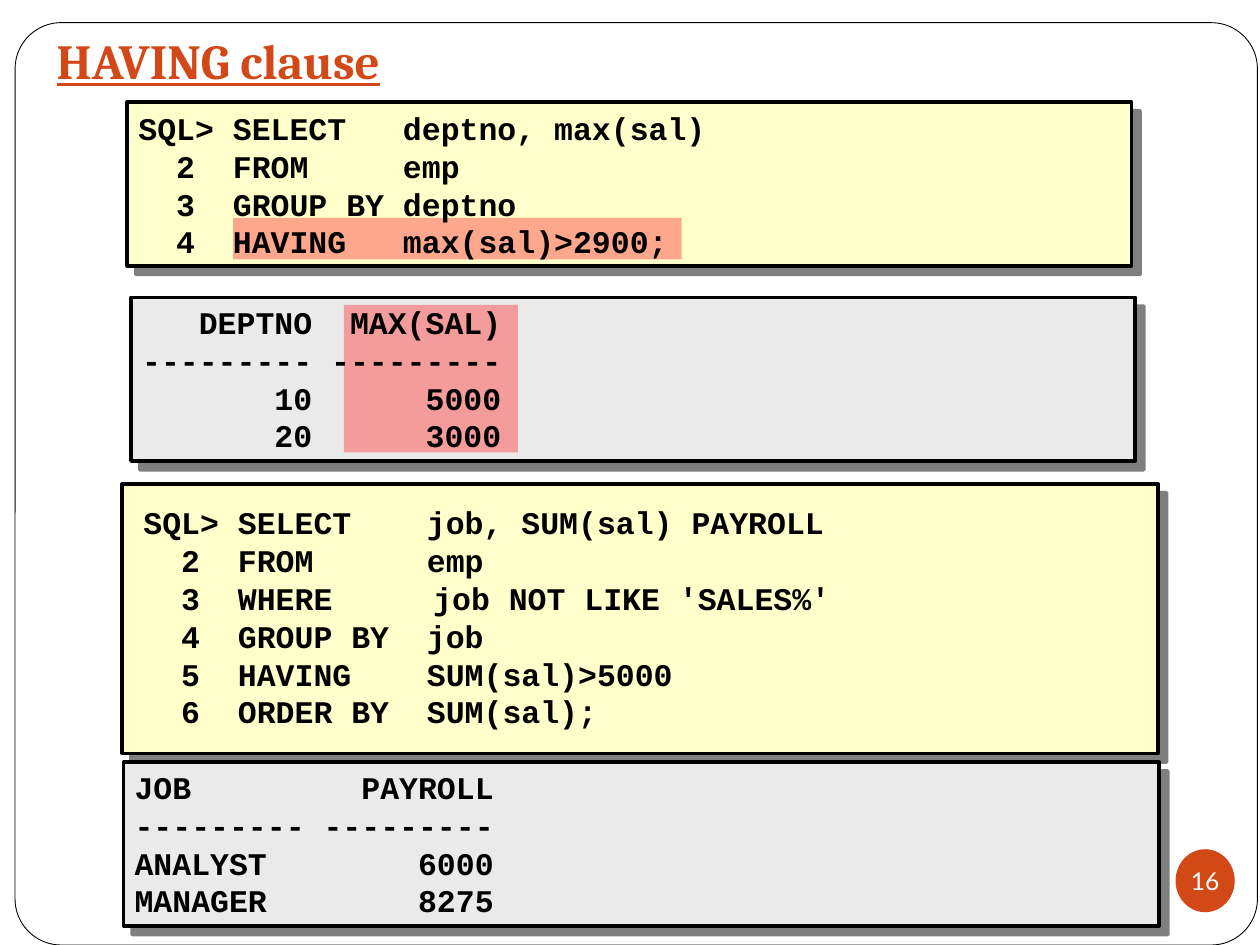
from lxml.etree import SubElement
from pptx import Presentation
from pptx.dml.color import RGBColor
from pptx.enum.shapes import MSO_SHAPE as Shape
from pptx.enum.text import MSO_ANCHOR as Anchor, MSO_AUTO_SIZE as AutoSize, PP_ALIGN as Align
from pptx.oxml.ns import qn
from pptx.util import Inches, Pt

COLORS = {"accent": "D34817", "code": "FFFFCC", "result": "EAEAEA",
          "highlight": "FF5050", "black": "000000", "white": "FFFFFF"}
TITLE = "HAVING clause"
PAGE_NUMBER = "16"
TEXT_SIZE = (8, 1.33)
PANELS = [
    {"fill": "code", "box": (1.01, 0.81, 7.97, 1.3), "text_at": (1, 0.8), "lines": [
        "SQL> SELECT   deptno, max(sal)",
        "  2  FROM     emp",
        "  3  GROUP BY deptno",
        "  4  HAVING   max(sal)>2900;"]},
    {"fill": "result", "box": (1.04, 2.36, 7.97, 1.3), "text_at": (1.03, 2.34), "lines": [
        "   DEPTNO  MAX(SAL)",
        "--------- ---------",
        "       10      5000",
        "       20      3000"]},
    {"fill": "code", "box": (0.97, 3.84, 8.22, 2.14), "text_at": (1.04, 4.23), "lines": [
        "SQL> SELECT    job, SUM(sal) PAYROLL",
        "  2  FROM      emp",
        "  3  WHERE\t  job NOT LIKE 'SALES%'",
        "  4  GROUP BY  job",
        "  5  HAVING    SUM(sal)>5000",
        "  6  ORDER BY  SUM(sal);"]},
    {"fill": "result", "box": (0.98, 6.05, 8.22, 1.3), "text_at": (0.97, 6.03), "lines": [
        "JOB         PAYROLL",
        "--------- ---------",
        "ANALYST        6000",
        "MANAGER        8275"]},
]
HIGHLIGHTS = [(1.85, 1.73, 3.56, 0.33), (2.73, 2.42, 1.38, 1.17)]


def rgb(name):
    """Return the named colour."""
    return RGBColor.from_string(COLORS[name])


def add_box(slide, kind, box, fill, line_width=None):
    """Add a filled shape, outlined in black when a line width is given."""
    shape = slide.shapes.add_shape(kind, *map(Inches, box))
    shape.shadow.inherit = False
    shape.fill.solid()
    shape.fill.fore_color.rgb = rgb(fill)
    if line_width:
        shape.line.color.rgb = rgb("black")
        shape.line.width = Pt(line_width)
    else:
        shape.line.fill.background()
    return shape


def add_alpha(color_element, percent):
    """Make a colour element partly transparent."""
    SubElement(color_element, qn("a:alpha"), val=str(percent * 1000))


def add_shadow(shape):
    """Cast a hard half-transparent shadow to the lower right."""
    effects = shape._element.spPr.find(qn("a:effectLst"))
    shadow = SubElement(effects, qn("a:outerShdw"), blurRad="0", dist=str(Pt(7.1)),
                        dir=str(45 * 60000), algn="ctr", rotWithShape="0")
    add_alpha(SubElement(shadow, qn("a:srgbClr"), val=COLORS["black"]), 50)


def set_font(paragraph, name, size, color, bold=False):
    """Set the font of a whole paragraph."""
    font = paragraph.font
    font.name, font.size, font.bold = name, Pt(size), bold
    font.color.rgb = rgb(color)


def add_code(slide, position, lines):
    """Add monospaced lines, one paragraph each."""
    frame = slide.shapes.add_textbox(*map(Inches, position + TEXT_SIZE)).text_frame
    frame.word_wrap = True
    frame.vertical_anchor = Anchor.MIDDLE
    frame.text = "\n".join(lines)
    for paragraph in frame.paragraphs:
        set_font(paragraph, "Courier New", 18, "black", True)


def format_title(title):
    """Place and style the title placeholder."""
    title.left, title.top, title.width, title.height = map(Inches, (0.35, 0.23, 7.09, 0.58))
    frame = title.text_frame
    frame.text = TITLE
    frame.auto_size = AutoSize.NONE
    frame.vertical_anchor = Anchor.BOTTOM
    frame.margin_bottom = Inches(0.1)
    paragraph = frame.paragraphs[0]
    paragraph.alignment = Align.LEFT
    set_font(paragraph, "Cambria", 28, "accent", True)
    paragraph.font.underline = True


def add_page_number(slide):
    """Add the round page number badge."""
    badge = add_box(slide, Shape.OVAL, (9.33, 6.74, 0.47, 0.5), "accent")
    frame = badge.text_frame
    frame.margin_left = frame.margin_right = frame.margin_top = frame.margin_bottom = 0
    frame.word_wrap = False
    frame.vertical_anchor = Anchor.MIDDLE
    frame.text = PAGE_NUMBER
    frame.paragraphs[0].alignment = Align.CENTER
    set_font(frame.paragraphs[0], "Lato", 14, "white")


def main():
    """Build the slide and save it."""
    presentation = Presentation()
    presentation.slide_width, presentation.slide_height = Inches(10), Inches(7.5)
    slide = presentation.slides.add_slide(presentation.slide_layouts[5])
    title = slide.shapes.title
    border = add_box(slide, Shape.ROUNDED_RECTANGLE, (0.12, 0.18, 9.86, 7.32), "white", 0.5)
    border.adjustments[0] = 0.05
    title._element.addprevious(border._element)
    format_title(title)
    add_page_number(slide)
    for panel in PANELS:
        add_shadow(add_box(slide, Shape.RECTANGLE, panel["box"], panel["fill"], 2))
    for box in HIGHLIGHTS:
        highlight = add_box(slide, Shape.RECTANGLE, box, "highlight")
        add_alpha(highlight._element.spPr.find(qn("a:solidFill"))[0], 50)
    for panel in PANELS:
        add_code(slide, panel["text_at"], panel["lines"])
    presentation.save("out.pptx")


if __name__ == "__main__":
    main()
